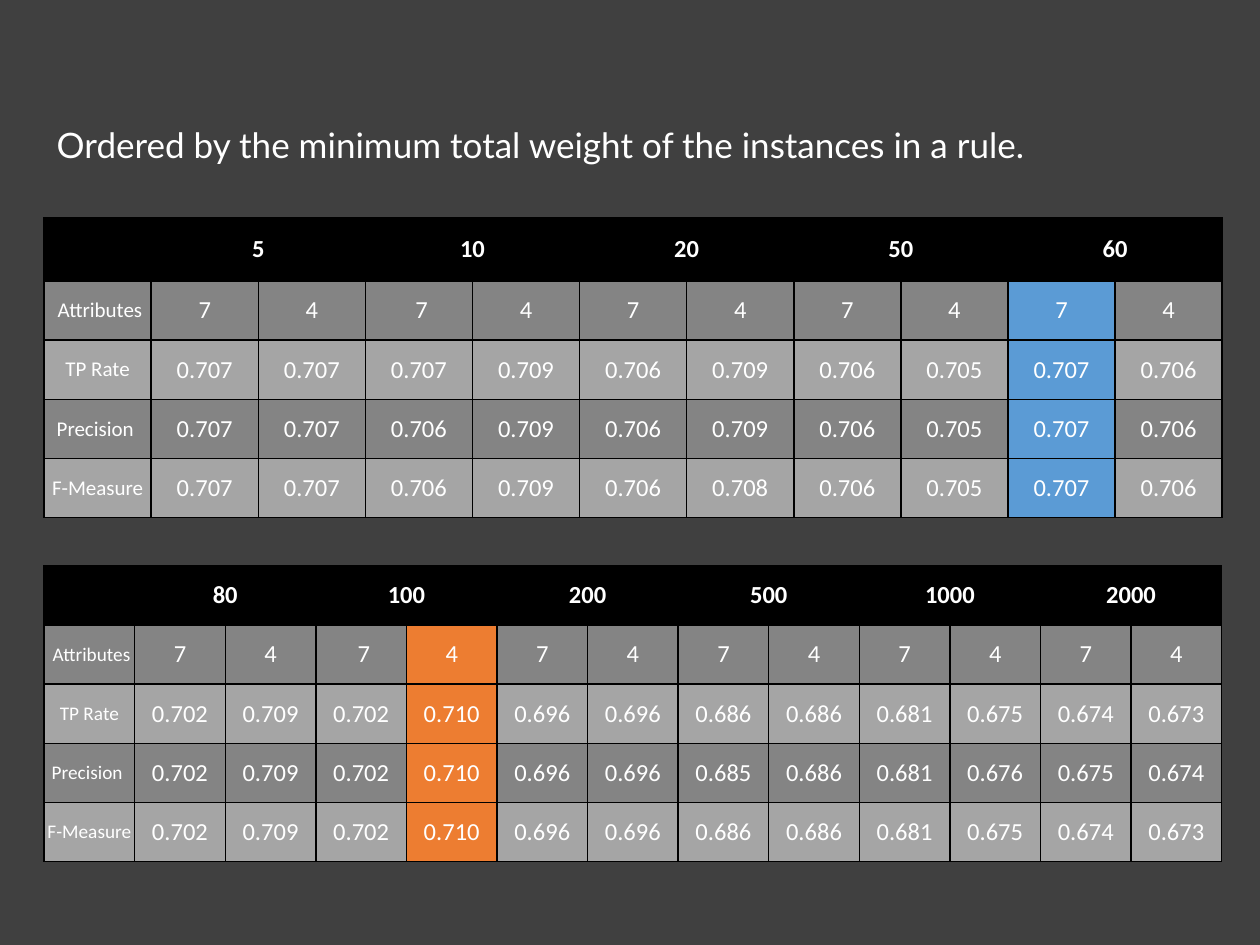
from lxml.etree import fromstring
from pptx import Presentation
from pptx.dml.color import RGBColor as RGB
from pptx.enum.text import MSO_ANCHOR as Anchor, MSO_AUTO_SIZE as Fit, PP_ALIGN as Align
from pptx.util import Inches, Pt

COLORS = {"back": "404040", "head": "000000", "dark": "848484", "light": "A5A5A5",
          "blue": "5B9BD5", "orange": "ED7D31", "text": "FFFFFF", "line": "000000"}
NS = "http://schemas.openxmlformats.org/drawingml/2006/main"
LEFT, WIDTH = 0.35, 9.35

TITLE = "Ordered by the minimum total weight of the instances in a rule."
LABELS = ["\u00a0Attributes", "TP Rate", "Precision ", "F-Measure"]
TABLES = [
    {"top": 1.73, "head": 0.5, "row": 0.47, "label": 12, "mark": (9, "blue"),
     "weights": [5, 10, 20, 50, 60],
     "rates": ["0.707 0.707 0.707 0.709 0.706 0.709 0.706 0.705 0.707 0.706",
               "0.707 0.707 0.706 0.709 0.706 0.709 0.706 0.705 0.707 0.706",
               "0.707 0.707 0.706 0.709 0.706 0.708 0.706 0.705 0.707 0.706"]},
    {"top": 4.49, "head": 0.47, "row": 0.47, "label": 11, "mark": (4, "orange"),
     "weights": [80, 100, 200, 500, 1000, 2000],
     "rates": ["0.702 0.709 0.702 0.710 0.696 0.696 0.686 0.686 0.681 0.675 0.674 0.673",
               "0.702 0.709 0.702 0.710 0.696 0.696 0.685 0.686 0.681 0.676 0.675 0.674",
               "0.702 0.709 0.702 0.710 0.696 0.696 0.686 0.686 0.681 0.675 0.674 0.673"]},
]


def write(frame, text, size=14, font="Calibri", bold=False, align=Align.CENTER):
    """Put one formatted line of text into a text frame."""
    para = frame.paragraphs[0]
    para.alignment, para.line_spacing = align, 1.0
    run = para.add_run()
    run.text = text
    run.font.size, run.font.name, run.font.bold = Pt(size), font, bold
    run.font.color.rgb = RGB.from_string(COLORS["text"])


def style(cell, color):
    """Give a cell its fill, zero margins and thin borders."""
    cell.fill.solid()
    cell.fill.fore_color.rgb = RGB.from_string(COLORS[color])
    cell.vertical_anchor = Anchor.MIDDLE
    cell.margin_left = cell.margin_right = cell.margin_top = cell.margin_bottom = 0
    props = cell._tc.get_or_add_tcPr()
    for i, side in enumerate("LRTB"):
        props.insert(i, fromstring(
            f'<a:ln{side} xmlns:a="{NS}" w="{Pt(1)}"><a:solidFill>'
            f'<a:srgbClr val="{COLORS["line"]}"/></a:solidFill></a:ln{side}>'))


def build(slide, data):
    """Draw one table: a weight header over pairs of attribute columns."""
    pairs = len(data["weights"])
    counts = ["7", "4"] * pairs
    counts[2] = "\u00a07"
    body = [counts] + [line.split() for line in data["rates"]]
    cols, rows = 2 * pairs + 1, len(body) + 1
    high = data["head"] + data["row"] * len(body)
    table = slide.shapes.add_table(rows, cols, Inches(LEFT), Inches(data["top"]),
                                   Inches(WIDTH), Inches(high)).table
    for col in table.columns:
        col.width = Inches(WIDTH / cols)
    for r, row in enumerate(table.rows):
        row.height = Inches(data["row"] if r else data["head"])

    for c in range(cols):
        style(table.cell(0, c), "head")
    for i, weight in enumerate(data["weights"]):
        first = table.cell(0, 2 * i + 1)
        first.merge(table.cell(0, 2 * i + 2))
        write(first.text_frame, str(weight), bold=True)

    mark, tint = data["mark"]
    for r, (label, values) in enumerate(zip(LABELS, body), 1):
        shade = "dark" if r % 2 else "light"
        for c, text in enumerate([label] + values):
            cell = table.cell(r, c)
            style(cell, tint if c == mark else shade)
            write(cell.text_frame, text, size=14 if c else data["label"])


deck = Presentation()
deck.slide_width, deck.slide_height = Inches(10), Inches(7.5)
slide = deck.slides.add_slide(deck.slide_layouts[5])
slide.background.fill.solid()
slide.background.fill.fore_color.rgb = RGB.from_string(COLORS["back"])

title = slide.shapes.title
title.left, title.top = Inches(LEFT), Inches(0.93)
title.width, title.height = Inches(8.93), Inches(0.44)
frame = title.text_frame
frame.word_wrap, frame.auto_size = True, Fit.SHAPE_TO_FIT_TEXT
frame.vertical_anchor = Anchor.MIDDLE
write(frame, TITLE, size=20, font="Lato", align=Align.LEFT)

for data in TABLES:
    build(slide, data)

deck.save("out.pptx")
